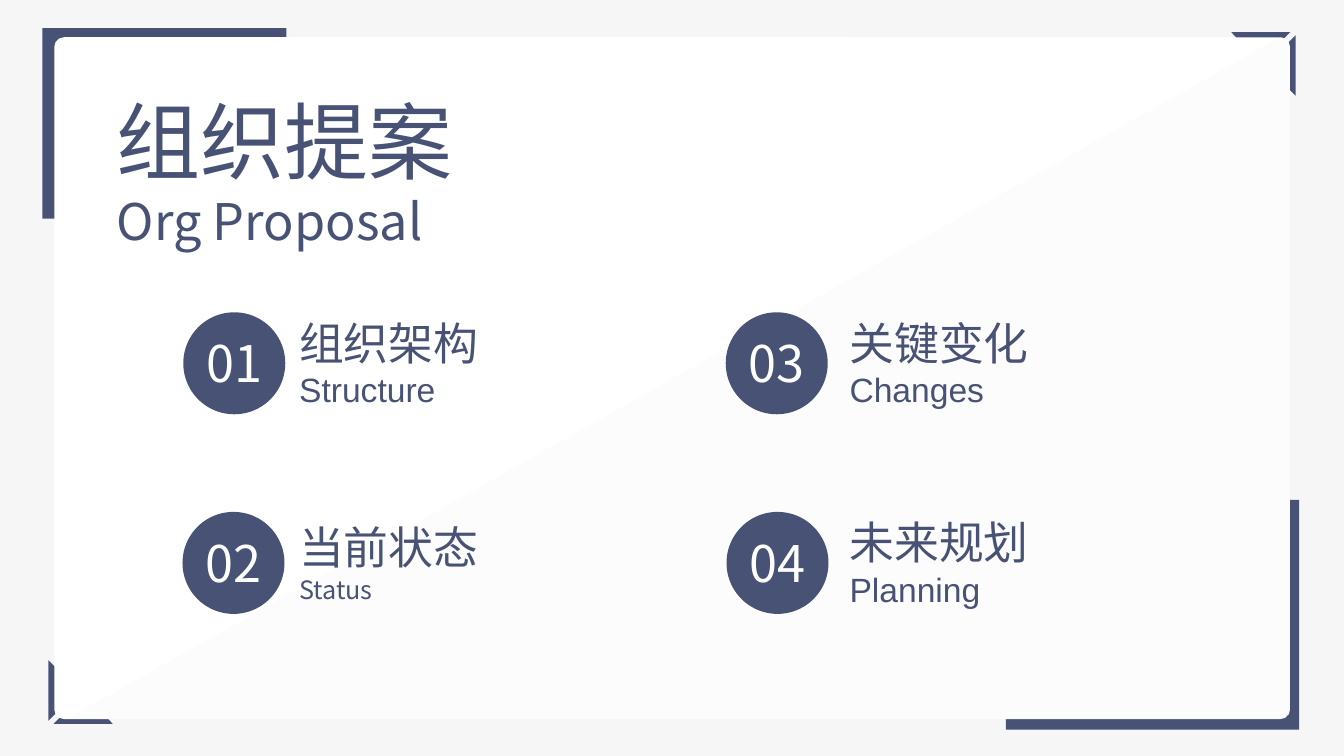
import math

from lxml import etree
from pptx import Presentation
from pptx.dml.color import RGBColor
from pptx.enum.shapes import MSO_SHAPE
from pptx.enum.text import MSO_ANCHOR, MSO_AUTO_SIZE, PP_ALIGN
from pptx.oxml.ns import qn
from pptx.util import Cm, Pt

RECTANGLE, ROUNDED, OVAL = MSO_SHAPE.RECTANGLE, MSO_SHAPE.ROUNDED_RECTANGLE, MSO_SHAPE.OVAL
TOP, GROW = MSO_ANCHOR.TOP, MSO_AUTO_SIZE.SHAPE_TO_FIT_TEXT
LEFT, CENTER = PP_ALIGN.LEFT, PP_ALIGN.CENTER

SLIDE_WIDTH, SLIDE_HEIGHT = 33.87, 19.05
NAVY, WHITE, PAPER, SHEEN = "485275", "FFFFFF", "F6F6F6", "F2F2F2"
CJK, LATIN = "Noto Sans CJK SC", "Arial"

CORNER_MARK = [
    [(1.6, 17.02), (1.6, 17.78), (1.22, 18.16), (1.22, 16.64)],
    [(2.84, 18.24), (1.35, 18.24), (1.73, 17.86), (2.49, 17.86)],
]

# number, circle left, circle top, label position, Chinese, English, English format
TOPICS = [
    ("01", 4.62, 7.87, (7.29, 7.82, 7.34, 2.64), "组织架构", "Structure", (24, LATIN)),
    ("02", 4.6, 12.9, (7.29, 12.98, 8.74, 2.39), "当前状态", "Status", (18, CJK)),
    ("03", 18.29, 7.87, (21.16, 7.82, 8.23, 2.64), "关键变化", "Changes", (24, LATIN)),
    ("04", 18.31, 12.9, (21.16, 12.85, 7.34, 2.64), "未来规划", "Planning", (24, LATIN)),
]


def color(value):
    return RGBColor.from_string(value)


def paint(shape, fill):
    shape.fill.solid()
    shape.fill.fore_color.rgb = color(fill)
    shape.line.fill.background()
    shape.shadow.inherit = False


def add_preset(page, kind, position, fill):
    shape = page.shapes.add_shape(kind, *map(Cm, position))
    paint(shape, fill)
    return shape


def add_outline(page, contours, fill):
    """Draw one freeform from closed contours given in centimetres."""
    contours = [[(Cm(x), Cm(y)) for x, y in contour] for contour in contours]
    builder = page.shapes.build_freeform(*contours[0][0], scale=1.0)
    for index, contour in enumerate(contours):
        if index:
            builder.move_to(*contour[0])
        builder.add_line_segments(contour[1:], close=True)
    shape = builder.convert_to_shape()
    paint(shape, fill)
    return shape


def opposite(contours):
    """Reflect contours through the centre of the slide."""
    return [[(SLIDE_WIDTH - x, SLIDE_HEIGHT - y) for x, y in contour] for contour in contours]


def set_opacity(shape, percent):
    fill_color = shape.element.spPr.find(qn("a:solidFill"))[0]
    etree.SubElement(fill_color, qn("a:alpha"), val=str(percent * 1000))


def arc(center_x, center_y, radius, start):
    angles = [math.radians(start + 15 * step) for step in range(7)]
    return [(center_x + radius * math.cos(a), center_y + radius * math.sin(a)) for a in angles]


def add_span(para, text, size, font, fill):
    span = para.add_run()
    span.text = text
    for name, value in {"size": Pt(size), "name": font, "bold": False}.items():
        setattr(span.font, name, value)
    span.font.color.rgb = color(fill)
    if font == CJK:
        etree.SubElement(span.font._element, qn("a:ea"), typeface=font)


def set_frame(box, wrap):
    frame = box.text_frame
    formats = {"word_wrap": wrap, "auto_size": GROW, "vertical_anchor": TOP}
    for name, value in formats.items():
        setattr(frame, name, value)
    return frame


def add_text(page, position, lines, fill, align=LEFT):
    """Add a box with one paragraph for each (text, size, font) line."""
    frame = set_frame(page.shapes.add_textbox(*map(Cm, position)), False)
    for index, line in enumerate(lines):
        para = frame.add_paragraph() if index else frame.paragraphs[0]
        para.alignment = align
        add_span(para, *line, fill)


def set_title(page):
    title = page.shapes.title
    position = {"left": 2.69, "top": 2.13, "width": 11.43, "height": 2.82}
    for name, value in position.items():
        setattr(title, name, Cm(value))
    para = set_frame(title, True).paragraphs[0]
    para.alignment = LEFT
    add_span(para, "组织提案", 60, CJK, NAVY)
    para.add_line_break()
    add_span(para, "Org Proposal", 36, CJK, NAVY)


def add_frame(page):
    add_preset(page, RECTANGLE, (1.07, 0.71, 6.15, 4.8), NAVY)
    add_preset(page, RECTANGLE, (25.35, 12.6, 7.39, 5.79), NAVY)
    add_outline(page, CORNER_MARK, NAVY)
    add_outline(page, opposite(CORNER_MARK), NAVY)
    card = add_preset(page, ROUNDED, (1.37, 0.94, 31.14, 17.18), WHITE)
    card.adjustments[0] = 0.014
    top_corner = arc(32.27, 1.18, 0.24, -90)
    bottom_corner = arc(32.27, 17.88, 0.24, 0)
    sheen = add_outline(page, [top_corner + bottom_corner + [(1.68, 18.12)]], SHEEN)
    set_opacity(sheen, 16)


def add_topic(page, number, left, top, label, chinese, english, english_format):
    add_preset(page, OVAL, (left, top, 2.57, 2.57), NAVY)
    add_text(page, (left + 0.28, top + 0.38, 2.01, 1.8), [(number, 36, CJK)], WHITE, CENTER)
    add_text(page, label, [(chinese, 32, CJK), (english, *english_format)], NAVY)


def main():
    deck = Presentation()
    deck.slide_width, deck.slide_height = Cm(SLIDE_WIDTH), Cm(SLIDE_HEIGHT)
    page = deck.slides.add_slide(deck.slide_layouts[5])
    page.background.fill.solid()
    page.background.fill.fore_color.rgb = color(PAPER)
    add_frame(page)
    for topic in TOPICS:
        add_topic(page, *topic)
    set_title(page)
    # The title placeholder comes first by default; bring it in front of the card.
    page.shapes._spTree.append(page.shapes.title.element)
    deck.save("out.pptx")


if __name__ == "__main__":
    main()
